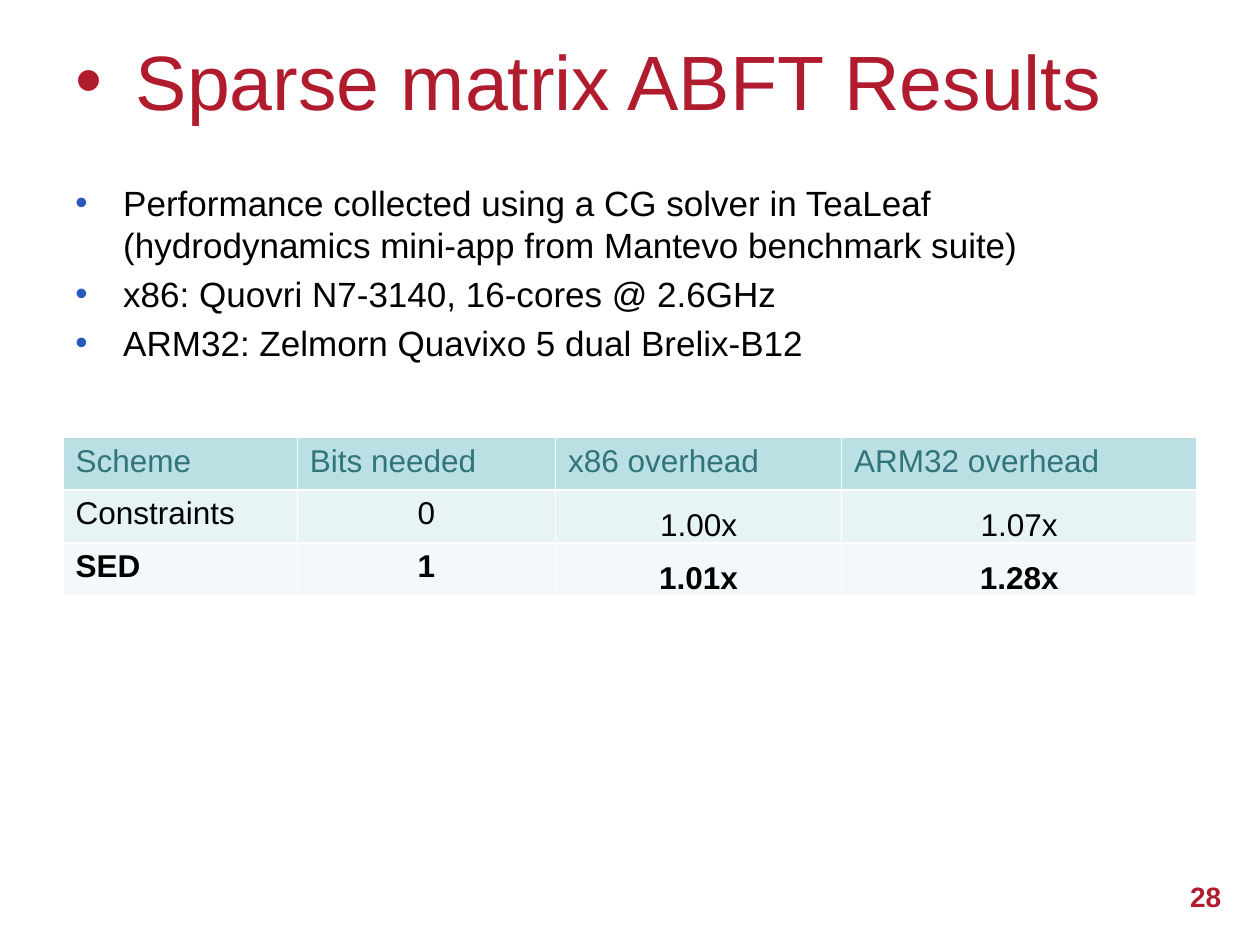
from pptx import Presentation, util as u
from pptx.dml.color import RGBColor
from pptx.enum import text
from pptx.oxml import parse_xml
from pptx.oxml.ns import nsdecls

# Content
TITLE = "Sparse matrix ABFT Results"
POINTS = [
    "Performance collected using a CG solver in TeaLeaf "
    "(hydrodynamics mini-app from Mantevo benchmark suite)",
    "x86: Quovri N7-3140, 16-cores @ 2.6GHz",
    "ARM32: Zelmorn Quavixo 5 dual Brelix-B12",
]
ROWS = [
    ("Scheme", "Bits needed", "x86 overhead", "ARM32 overhead"),
    ("Constraints", "0", "1.00x", "1.07x"),
    ("SED", "1", "1.01x", "1.28x"),
]
PAGE = "28"

# Look
HUES = {"red": "B01C2E", "blue": "2858BB", "black": "000000",
        "teal": "31747B", "white": "FFFFFF"}
FILLS = ["BBE0E3", "E7F3F4", "F3F9FA"]
WIDE, HIGH = 10, 7.5
EDGE = WIDE * 0.05
SPAN = WIDE - 2 * EDGE
COLS = [1.86, 2.05, 2.27, 2.82]
ROW = 0.42
ALIGN = text.PP_ALIGN
ANCHOR = text.MSO_ANCHOR


def write(frame, lines, size, hue="black", bold=False, align=ALIGN.LEFT,
          bullet=None, indent=0, gap=0):
    """Fill a text frame with one paragraph per line."""
    for i, line in enumerate(lines):
        para = frame.paragraphs[0] if i == 0 else frame.add_paragraph()
        if bullet:
            props = para._p.get_or_add_pPr()
            props.set("marL", str(u.Inches(indent)))
            props.set("indent", str(-u.Inches(indent)))
            props.append(parse_xml(
                f'<a:buClr {nsdecls("a")}><a:srgbClr val="{HUES[bullet]}"/></a:buClr>'))
            props.append(parse_xml(f'<a:buFont {nsdecls("a")} typeface="Arial"/>'))
            props.append(parse_xml(f'<a:buChar {nsdecls("a")} char="•"/>'))
        para.alignment = align
        if i:
            para.space_before = u.Pt(gap)
        run = para.add_run()
        run.text = line
        font = run.font
        font.name, font.size, font.bold = "Arial", u.Pt(size), bold
        font.color.rgb = RGBColor.from_string(HUES[hue])


def box(slide, left, top, width, height, lines, anchor=ANCHOR.TOP, **look):
    shape = slide.shapes.add_textbox(*map(u.Inches, (left, top, width, height)))
    frame = shape.text_frame
    frame.word_wrap = True
    frame.vertical_anchor = anchor
    write(frame, lines, **look)


def border(cell):
    props = cell._tc.get_or_add_tcPr()
    for side in "LRTB":
        props.append(parse_xml(
            f'<a:ln{side} {nsdecls("a")} w="{u.Pt(1)}"><a:solidFill>'
            f'<a:srgbClr val="{HUES["white"]}"/></a:solidFill></a:ln{side}>'))


def grid(slide, top):
    table = slide.shapes.add_table(
        len(ROWS), len(COLS), u.Inches(EDGE), u.Inches(top),
        u.Inches(SPAN), u.Inches(ROW * len(ROWS))).table
    for col, width in zip(table.columns, COLS):
        col.width = u.Inches(width)
    for r, row in enumerate(ROWS):
        table.rows[r].height = u.Inches(ROW)
        for c, word in enumerate(row):
            cell = table.cell(r, c)
            border(cell)
            cell.fill.solid()
            cell.fill.fore_color.rgb = RGBColor.from_string(FILLS[r])
            # Measured values sit at the foot of their cells
            if r and c >= 2:
                cell.vertical_anchor = ANCHOR.BOTTOM
                cell.margin_left = cell.margin_right = u.Inches(0.01)
                cell.margin_top, cell.margin_bottom = u.Inches(0.01), 0
            write(cell.text_frame, [word], 18, hue="black" if r else "teal",
                  bold=r == 2, align=ALIGN.CENTER if r and c else ALIGN.LEFT)


def main():
    deck = Presentation()
    deck.slide_width, deck.slide_height = u.Inches(WIDE), u.Inches(HIGH)
    slide = deck.slides.add_slide(deck.slide_layouts[6])

    # Title and points
    box(slide, EDGE, 0.01, SPAN, HIGH / 6, [TITLE], anchor=ANCHOR.MIDDLE,
        size=44, hue="red", bullet="red", indent=0.48)
    box(slide, EDGE, 1.39, SPAN, 1.61, POINTS,
        size=20, bullet="blue", indent=0.38, gap=4)

    # Results table
    grid(slide, 3.47)

    # Page number
    box(slide, 9.02, 6.85, 0.77, 0.52, [PAGE], anchor=ANCHOR.MIDDLE,
        size=16, hue="red", bold=True, align=ALIGN.RIGHT)
    deck.save("out.pptx")


if __name__ == "__main__":
    main()
